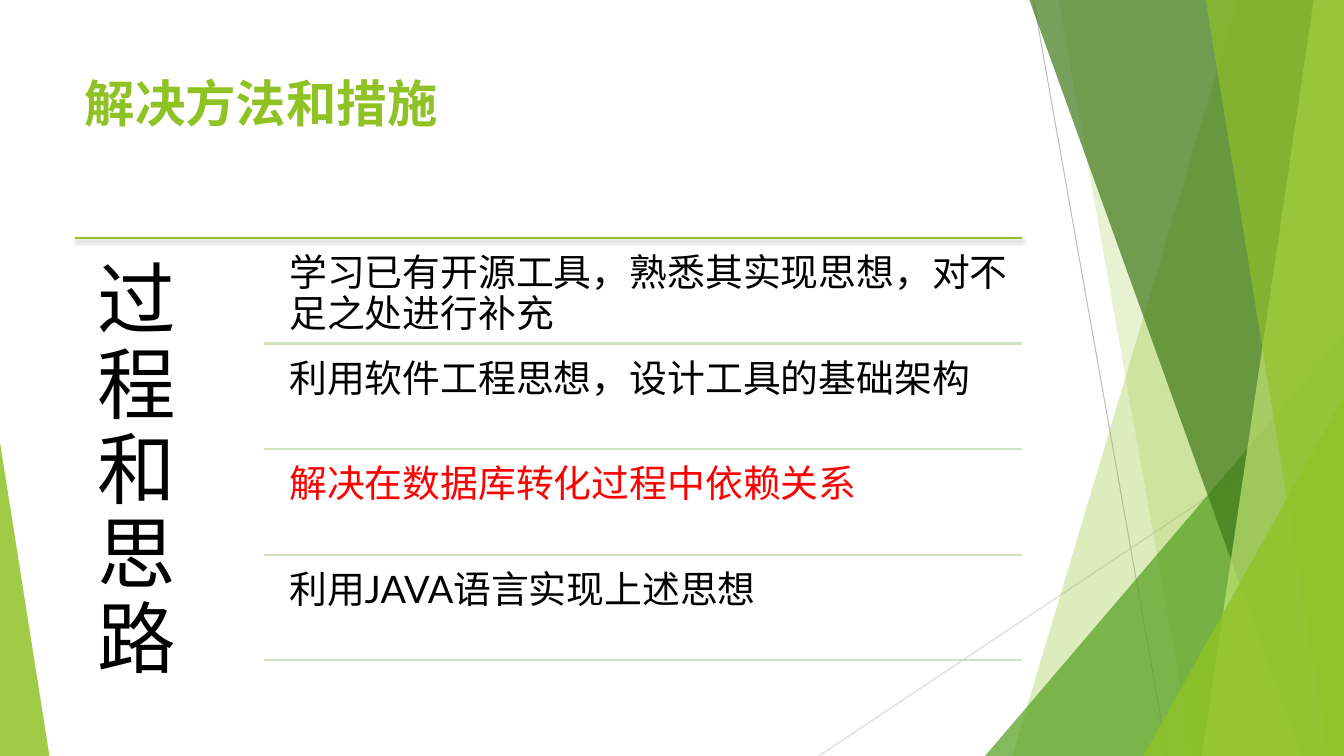
from dataclasses import dataclass

from lxml.etree import SubElement
from pptx import Presentation
from pptx.dml.color import RGBColor
from pptx.enum.lang import MSO_LANGUAGE_ID
from pptx.enum.shapes import MSO_CONNECTOR, MSO_SHAPE
from pptx.enum.text import MSO_ANCHOR, MSO_AUTO_SIZE, PP_ALIGN
from pptx.oxml.ns import qn
from pptx.util import Inches, Pt


@dataclass(frozen=True)
class Theme:
    font: str = "Lato"
    lime: str = "90C226"
    green: str = "54A021"
    forest: str = "3F7819"
    pale: str = "C0E474"
    divider: str = "D1E3BE"
    ray_dark: str = "BFBFBF"
    ray_light: str = "D9D9D9"
    ink: str = "000000"
    accent: str = "FF0000"
    title_size: int = 36
    label_size: int = 56
    step_size: int = 27


THEME = Theme()


def apply(target, values):
    for name, value in values.items():
        setattr(target, name, value)


def write(frame, text, size, color, inset, bold=False, spacing=1.0):
    margins = {f"margin_{side}": Inches(inset[i])
               for i, side in enumerate(("left", "top", "right", "bottom"))}
    apply(frame, {"word_wrap": True, "auto_size": MSO_AUTO_SIZE.NONE,
                  "vertical_anchor": MSO_ANCHOR.TOP, **margins})
    paragraph = frame.paragraphs[0]
    apply(paragraph, {"alignment": PP_ALIGN.LEFT, "line_spacing": spacing})
    run = paragraph.add_run()
    run.text = text
    apply(run.font, {"name": THEME.font, "size": Pt(size), "bold": bold,
                     "language_id": MSO_LANGUAGE_ID.SIMPLIFIED_CHINESE})
    run.font.color.rgb = RGBColor.from_string(color)


def add_text(slide, box, text, size, color, inset):
    frame = slide.shapes.add_textbox(*map(Inches, box)).text_frame
    write(frame, text, size, color, (inset,) * 4, spacing=0.9)


def add_rule(slide, start, end, color, width, shadow=False):
    rule = slide.shapes.add_connector(
        MSO_CONNECTOR.STRAIGHT, *map(Inches, (*start, *end)))
    rule.line.color.rgb = RGBColor.from_string(color)
    rule.line.width = Pt(width)
    effects = SubElement(rule._element.spPr, qn("a:effectLst"))
    if shadow:
        outer = SubElement(effects, qn("a:outerShdw"), blurRad=str(Pt(3)),
                           dist=str(Pt(2)), dir="5400000", rotWithShape="0")
        tint = SubElement(outer, qn("a:srgbClr"), val=THEME.ink)
        SubElement(tint, qn("a:alpha"), val="35000")


def paint(shape, color, opacity):
    shape.shadow.inherit = False
    shape.fill.solid()
    shape.fill.fore_color.rgb = RGBColor.from_string(color)
    shape.line.fill.background()
    tint = shape._element.spPr.find(qn("a:solidFill")).find(qn("a:srgbClr"))
    SubElement(tint, qn("a:alpha"), val=str(opacity * 1000))


def add_facet(slide, box, top_x, bottom_x, color, opacity):
    """Band from a slanted left edge to the right side of the box."""
    left, top, width, height = box
    right, bottom = left + width, top + height
    corners = [(top_x, top), (right, top), (right, bottom), (bottom_x, bottom)]
    points = [(Inches(x), Inches(y)) for x, y in corners]
    outline = slide.shapes.build_freeform(*points[0], scale=1.0)
    outline.add_line_segments(points[1:], close=True)
    paint(outline.convert_to_shape(), color, opacity)


def add_corner(slide, box, width, height, apex, color, opacity):
    """Right triangle in a bottom corner: apex 0 is left, 1 is right."""
    left = box[0] + apex * (box[2] - width)
    top = box[1] + box[3] - height
    corner = slide.shapes.add_shape(
        MSO_SHAPE.ISOSCELES_TRIANGLE, *map(Inches, (left, top, width, height)))
    corner.adjustments[0] = apex
    paint(corner, color, opacity)


def add_backdrop(slide, box):
    left, top, width, height = box
    right, bottom = left + width, top + height
    # Thin rays
    add_rule(slide, (left + 10.25, top), (left + 11.58, bottom),
             THEME.ray_dark, 0.75)
    add_rule(slide, (right, top + 4.03), (left + 8.12, bottom),
             THEME.ray_light, 0.75)
    # Overlapping facets, back to front
    layers = [
        (add_facet, 12.28, 10.04, THEME.lime, 30),
        (add_facet, 10.5, 11.83, THEME.lime, 20),
        (add_corner, 3.56, 4.17, 1, THEME.green, 72),
        (add_facet, 10.21, 12.91, THEME.forest, 70),
        (add_facet, 13.03, 11.92, THEME.pale, 70),
        (add_facet, 11.96, 13.18, THEME.lime, 65),
        (add_corner, 1.99, 3.57, 1, THEME.lime, 80),
        (add_corner, 0.49, 3.11, 0, THEME.lime, 85),
    ]
    for draw, *values in layers:
        draw(slide, box, *values)


def add_title(slide, box, text):
    title = slide.shapes.title
    apply(title, dict(zip(("left", "top", "width", "height"),
                          map(Inches, box))))
    write(title.text_frame, text, THEME.title_size, THEME.lime,
          (0.1, 0.05, 0.1, 0.05), bold=True)


def add_process(slide, box, label, steps):
    left, top, width, height = box
    right = left + width
    label_width = width / 5
    # Heading rule and vertical label
    add_rule(slide, (left, top), (right, top), THEME.lime, 1, shadow=True)
    add_text(slide, (left, top, label_width, height), label,
             THEME.label_size, THEME.ink, 0.23)
    # Steps, each closed by a divider
    gap, indent = 0.05, 0.14
    step_height = (height - gap) / len(steps) - gap
    rule_left = left + label_width
    text_left = rule_left + indent
    for i, (text, color) in enumerate(steps):
        step_top = top + gap + i * (step_height + gap)
        step_bottom = step_top + step_height
        add_text(slide, (text_left, step_top, right - text_left, step_height),
                 text, THEME.step_size, color, 0.11)
        add_rule(slide, (rule_left, step_bottom), (right, step_bottom),
                 THEME.divider, 1.5)


deck = Presentation()
apply(deck, {"slide_width": Inches(13.33), "slide_height": Inches(7.5)})
slide = deck.slides.add_slide(deck.slide_layouts[5])

add_backdrop(slide, (0, 0, 13.33, 7.5))
add_title(slide, (0.74, 0.67, 9.4, 1.44), "解决方法和措施")
add_process(slide, (0.74, 2.36, 9.4, 4.24), "过程和思路", [
    ("学习已有开源工具，熟悉其实现思想，对不足之处进行补充", THEME.ink),
    ("利用软件工程思想，设计工具的基础架构", THEME.ink),
    ("解决在数据库转化过程中依赖关系", THEME.accent),
    ("利用JAVA语言实现上述思想", THEME.ink),
])

deck.save("out.pptx")
